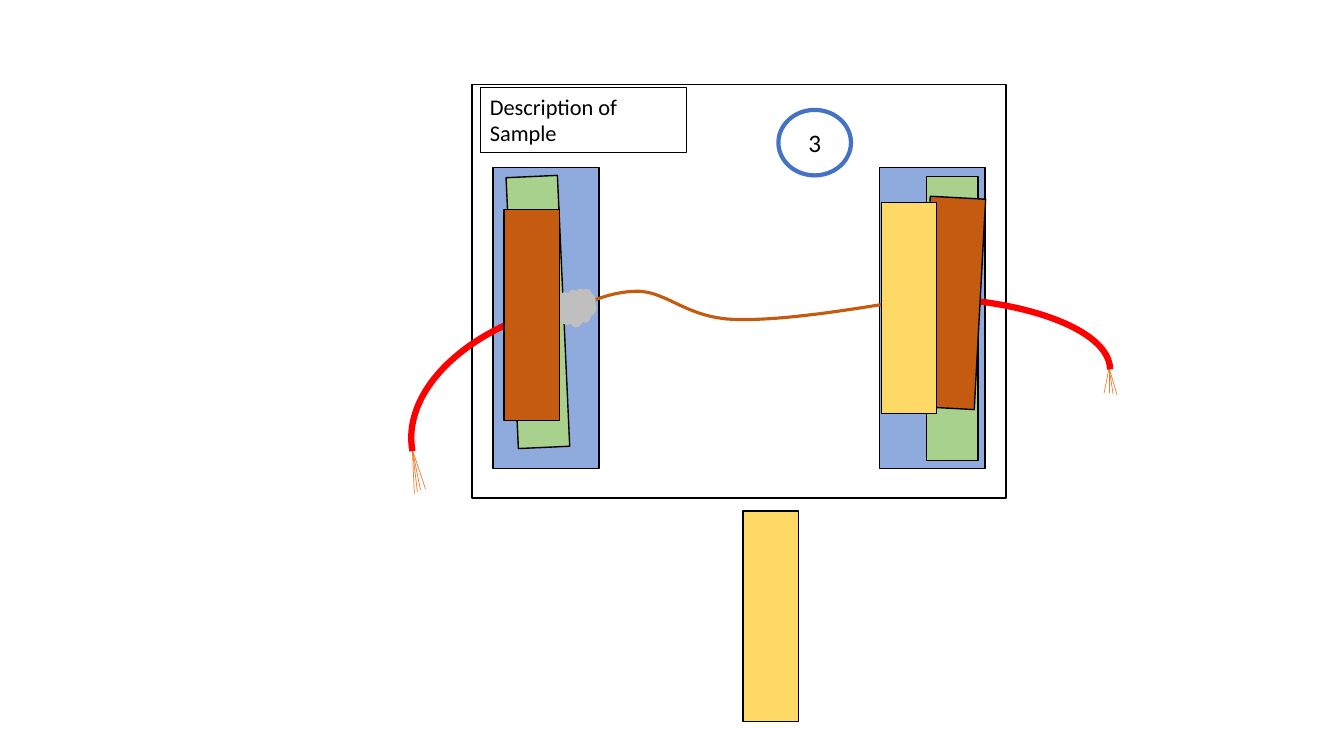
"""Draw a sample holder with two electrodes, a wire and two leads."""
from dataclasses import dataclass
from typing import Optional

from pptx import Presentation
from pptx.dml.color import RGBColor
from pptx.enum import shapes, text
from pptx.oxml import parse_xml
from pptx.util import Inches, Pt

BLACK = RGBColor(0, 0, 0)
WHITE = RGBColor(255, 255, 255)
BLUE = RGBColor(0x8F, 0xAA, 0xDC)
GREEN = RGBColor(0xA9, 0xD1, 0x8E)
COPPER = RGBColor(0xC5, 0x5A, 0x11)
YELLOW = RGBColor(0xFF, 0xD9, 0x66)
GREY = RGBColor(0xBF, 0xBF, 0xBF)
RED = RGBColor(255, 0, 0)
ORANGE = RGBColor(0xED, 0x7D, 0x31)
RING = RGBColor(0x44, 0x72, 0xC4)
KIND = shapes.MSO_SHAPE
STRIP = (0.55, 2.09)
BASE = (1.05, 2.99)
NOFX = '<a:effectLst xmlns:a="http://schemas.openxmlformats.org/drawingml/2006/main"/>'


@dataclass
class Part:
    """A preset shape of the sample."""
    left: float
    top: float
    size: tuple[float, float]
    fill: Optional[RGBColor] = None
    line: RGBColor = BLACK
    width: float = 1
    turn: float = 0
    kind: KIND = KIND.RECTANGLE
    flip: bool = False


@dataclass
class Fan:
    """Loose strands spreading from the end of a lead."""
    start: tuple[float, float]
    ends: list[tuple[float, float]]


def draw(slide, part: Part):
    """Add one part and return its shape."""
    box = slide.shapes.add_shape(part.kind, Inches(part.left), Inches(part.top),
                                 *map(Inches, part.size))
    box.shadow.inherit = False
    box.rotation = part.turn
    if part.fill is None:
        box.fill.background()
    else:
        box.fill.solid()
        box.fill.fore_color.rgb = part.fill
    box.line.color.rgb = part.line
    box.line.width = Pt(part.width)
    if part.flip:
        box.element.spPr.xfrm.set("flipV", "1")
    return box


def spread(slide, fan: Fan) -> None:
    """Add the strands of a fan."""
    for end in fan.ends:
        strand = slide.shapes.add_connector(
            shapes.MSO_CONNECTOR.STRAIGHT, *map(Inches, fan.start + end))
        strand.line.color.rgb = ORANGE
        strand.line.width = Pt(0.5)
        strand.element.spPr.append(parse_xml(NOFX))


def bend(knots: list[tuple[float, float]], steps: int = 24) -> list[tuple[int, int]]:
    """Return points along a chain of cubic curves."""
    spots = []
    for first in range(0, len(knots) - 1, 3):
        quad = knots[first:first + 4]
        for step in range(steps + 1):
            t = step / steps
            rates = ((1 - t) ** 3, 3 * t * (1 - t) ** 2, 3 * t * t * (1 - t), t ** 3)
            spots.append(tuple(Inches(sum(r * k[axis] for r, k in zip(rates, quad)))
                               for axis in (0, 1)))
    return spots


def wire(slide, knots: list[tuple[float, float]]) -> None:
    """Add the copper wire as an open curve."""
    spots = bend(knots)
    path = slide.shapes.build_freeform(*spots[0])
    path.add_line_segments(spots[1:], close=False)
    curve = path.convert_to_shape()
    curve.shadow.inherit = False
    curve.fill.background()
    curve.line.color.rgb = COPPER
    curve.line.width = Pt(2.25)


def write(box, words: str, size: int, align, anchor) -> None:
    """Set and format the text of a shape."""
    frame = box.text_frame
    frame.word_wrap = True
    frame.text = words
    frame.vertical_anchor = anchor
    para = frame.paragraphs[0]
    para.alignment = align
    font = para.runs[0].font
    font.name, font.size = "Calibri", Pt(size)
    font.color.rgb = BLACK


FRAME = [Part(4.68, 0.84, (5.3, 4.1), WHITE)]
FRAME += [Part(left, 1.66, BASE, BLUE) for left in (4.89, 8.72)]
WIRE = [(5.41, 3.23), (5.69, 3.06), (5.98, 2.9), (6.3, 2.89), (6.62, 2.88),
        (6.81, 3.17), (7.33, 3.17), (7.85, 3.18), (8.64, 3.04), (9.42, 2.91)]
FOILS = [Part(9.19, 1.75, (0.51, 2.82), GREEN),
         Part(5.08, 1.75, (0.51, 2.69), GREEN, turn=357.4)]
FANS = [Fan((11, 3.65), [(11.08, 3.92), (10.95, 3.9), (11, 3.9), (11.04, 3.91)]),
        Fan((4.09, 4.46), [(4.11, 4.9), (4.22, 4.85), (4.17, 4.86), (4.14, 4.88)])]
LEADS = [Part(7.13, 2.95, (3.88, 1.43), None, RED, 4.5, kind=KIND.ARC),
         Part(4.06, 2.99, (3.68, 2.3), None, RED, 4.5, 169.5, KIND.ARC, True)]
TOPS = [Part(5.51, 2.87, (0.4, 0.37), GREY, GREY, kind=KIND.CLOUD),
        Part(9.17, 1.96, STRIP, COPPER, turn=3.1),
        Part(7.37, 5.07, STRIP, YELLOW),
        Part(8.74, 2.01, STRIP, YELLOW),
        Part(5, 2.08, STRIP, COPPER)]
LABEL = Part(4.76, 0.87, (2.05, 0.64), width=0.25)
BADGE = Part(7.72, 1.09, (0.72, 0.65), None, RING, 3, kind=KIND.OVAL)


def main() -> None:
    """Build and save the slide."""
    deck = Presentation()
    deck.slide_width, deck.slide_height = Inches(13.33), Inches(7.5)
    slide = deck.slides.add_slide(deck.slide_layouts[6])
    for part in FRAME:
        draw(slide, part)
    wire(slide, WIRE)
    for part in FOILS:
        draw(slide, part)
    for fan in FANS:
        spread(slide, fan)
    for part in LEADS + TOPS:
        draw(slide, part)
    write(draw(slide, LABEL), "Description of Sample", 16,
          text.PP_ALIGN.LEFT, text.MSO_ANCHOR.TOP)
    write(draw(slide, BADGE), "3", 18, text.PP_ALIGN.CENTER, text.MSO_ANCHOR.MIDDLE)
    deck.save("out.pptx")


main()
